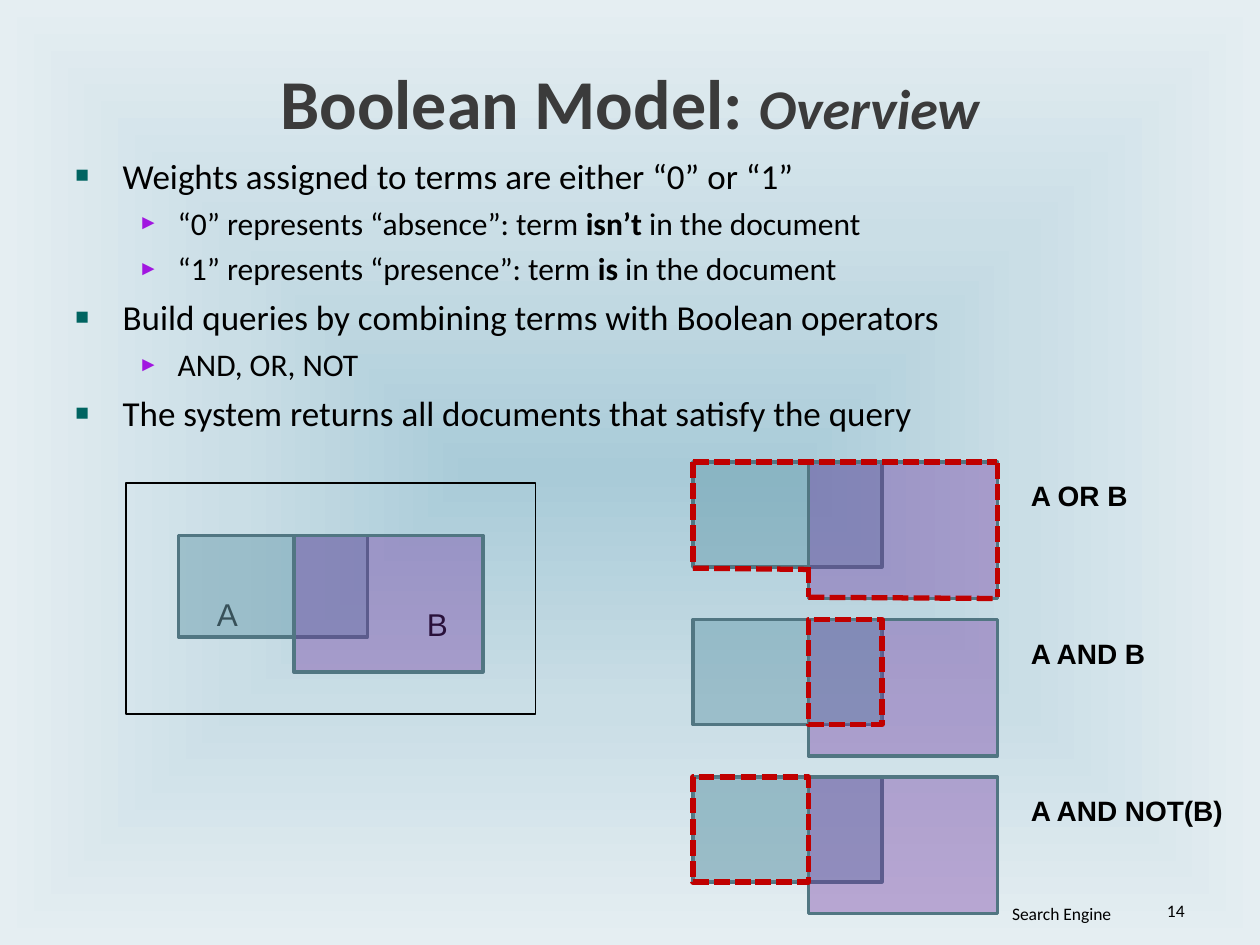
from lxml import etree
from pptx import Presentation
from pptx.dml.color import RGBColor
from pptx.enum.dml import MSO_LINE
from pptx.enum.shapes import MSO_CONNECTOR, MSO_SHAPE
from pptx.enum.text import MSO_ANCHOR, PP_ALIGN
from pptx.oxml import parse_xml
from pptx.oxml.ns import nsdecls, qn
from pptx.util import Pt

RECT = MSO_SHAPE.RECTANGLE
STRAIGHT = MSO_CONNECTOR.STRAIGHT
DASH = MSO_LINE.SQUARE_DOT
LEFT, CENTER, RIGHT = PP_ALIGN.LEFT, PP_ALIGN.CENTER, PP_ALIGN.RIGHT
TOP, MIDDLE, BOTTOM = MSO_ANCHOR.TOP, MSO_ANCHOR.MIDDLE, MSO_ANCHOR.BOTTOM

COLORS = {
    "text": "000000", "title": "3B3B3B", "square": "006461", "arrow": "A116E0",
    "set_a": "6EA0B0", "set_b": "7030A0", "edge": "517682", "result": "C00000",
    "center": "A9CBD8", "middle": "CADEE6", "rim": "E5EEF2",
}
LEVELS = [
    {"size": 20, "margin": 27, "hang": 27, "before": 4.9, "char": "■", "color": "square"},
    {"size": 18, "margin": 58.5, "hang": 22.5, "before": 4.4, "char": "►", "color": "arrow"},
]
BODY = [
    (0, [("Weights assigned to terms are either “0” or “1”", False)]),
    (1, [("“0” represents “absence”: term ", False), ("isn’t", True), (" in the document", False)]),
    (1, [("“1” represents “presence”: term ", False), ("is", True), (" in the document", False)]),
    (0, [("Build queries by combining terms with Boolean operators", False)]),
    (1, [("AND, OR, NOT", False)]),
    (0, [("The system returns all documents that satisfy the query", False)]),
]
TITLE_FONT = {"name": "Calibri", "size": Pt(40), "bold": True}
SUBTITLE_FONT = {**TITLE_FONT, "size": Pt(32), "italic": True}
FOOTER_FONT = {"name": "Calibri", "size": Pt(10)}
SET_FONT = {"name": "Arial", "size": Pt(18)}
LABEL_FONT = {"name": "Arial", "size": Pt(16), "bold": True}
SET_BOX = {"word_wrap": True, "margin_left": Pt(4), "margin_right": Pt(0), "margin_top": Pt(5)}

PANEL_X, PANEL_Y, PANEL_STEP = 396, 264, 90
SET_W, A_H, B_H, B_SHIFT = 108, 60, 78, 66


def rgb(name):
    """Return the named colour."""
    return RGBColor.from_string(COLORS[name])


def set_attrs(obj, values):
    """Set every attribute listed in a dict."""
    for name, value in values.items():
        setattr(obj, name, value)


def add_run(p, text, font, color="text"):
    """Append a formatted run to a paragraph."""
    r = p.add_run()
    r.text = text
    set_attrs(r.font, font)
    r.font.color.rgb = rgb(color)


def add_text(s, box, runs, color="text", align=LEFT, anchor=TOP, frame=None):
    """Add a one-paragraph text box and return its frame."""
    tf = s.shapes.add_textbox(*map(Pt, box)).text_frame
    set_attrs(tf, {"word_wrap": True, "vertical_anchor": anchor, **(frame or {})})
    p = tf.paragraphs[0]
    p.alignment = align
    for text, font in runs:
        add_run(p, text, font, color)
    return tf


def add_bullet(p, level):
    """Give a paragraph the indent and bullet of its level."""
    pPr = p._p.get_or_add_pPr()
    pPr.set("marL", str(Pt(level["margin"])))
    pPr.set("indent", str(-Pt(level["hang"])))
    clr = etree.SubElement(pPr, qn("a:buClr"))
    etree.SubElement(clr, qn("a:srgbClr"), val=COLORS[level["color"]])
    etree.SubElement(pPr, qn("a:buSzPct"), val="65000")
    etree.SubElement(pPr, qn("a:buFont"), typeface="Arial")
    etree.SubElement(pPr, qn("a:buChar"), char=level["char"])


def add_body(s):
    """Add the bulleted list."""
    tf = add_text(s, (36, 84.5, 648, 402), [])
    for i, (depth, runs) in enumerate(BODY):
        level = LEVELS[depth]
        p = tf.add_paragraph() if i else tf.paragraphs[0]
        p.level = depth
        add_bullet(p, level)
        p.space_before = Pt(level["before"] if i else 0)
        for text, bold in runs:
            add_run(p, text, {"name": "Calibri", "size": Pt(level["size"]), "bold": bold})


def style_line(line, color, width, dash=None):
    """Set the colour, width and dash of a line."""
    line.color.rgb = rgb(color)
    set_attrs(line, {"width": Pt(width), "dash_style": dash})


def add_rect(s, box, fill=None, alpha=100, line=("edge", 2)):
    """Add a rectangle with an optional translucent fill."""
    sp = s.shapes.add_shape(RECT, *map(Pt, box))
    sp.shadow.inherit = False
    style_line(sp.line, *line)
    if fill is None:
        sp.fill.background()
        return
    sp.fill.solid()
    sp.fill.fore_color.rgb = rgb(fill)
    clr = sp._element.spPr.find(qn("a:solidFill"))[0]
    etree.SubElement(clr, qn("a:alpha"), val=str(alpha * 1000))


def add_sets(s, x, y, a_height=A_H):
    """Add the two overlapping sets."""
    add_rect(s, (x, y, SET_W, a_height), "set_a", 51)
    add_rect(s, (x + B_SHIFT, y, SET_W, B_H), "set_b", 37)


def add_result(s, x, y, width):
    """Add the dashed rectangle around a query result."""
    add_rect(s, (x, y, width, A_H), "set_a", 18, ("result", 3, DASH))


def add_union_outline(s, x, y):
    """Trace the union of both sets with dashed lines."""
    mid, right = x + B_SHIFT, x + B_SHIFT + SET_W
    low, bottom = y + A_H, y + B_H
    for ends in [
        (x, y, right, y),
        (mid, bottom - 0.7, right, bottom),
        (x, y, x, low),
        (right, y + 0.7, right, bottom - 0.7),
        (mid, low, mid, bottom - 0.7),
        (x, low + 0.7, mid, low + 1.4),
    ]:
        line = s.shapes.add_connector(STRAIGHT, *map(Pt, ends))
        style_line(line.line, "result", 3, DASH)
        etree.SubElement(line._element.spPr, qn("a:effectLst"))


def set_background(s):
    """Fill the background with a gradient from the centre outwards."""
    s.background.fill.solid()
    stops = "".join(
        f'<a:gs pos="{pos}"><a:srgbClr val="{COLORS[name]}"/></a:gs>'
        for pos, name in [(0, "center"), (50000, "middle"), (100000, "rim")]
    )
    grad = parse_xml(
        f'<a:gradFill {nsdecls("a")} rotWithShape="1"><a:gsLst>{stops}</a:gsLst>'
        '<a:path path="shape"><a:fillToRect l="50000" t="50000" r="50000" b="50000"/>'
        "</a:path></a:gradFill>"
    )
    bg = s._element.find(".//" + qn("p:bgPr"))
    bg.replace(bg.find(qn("a:solidFill")), grad)


def main():
    """Build the slide and save it."""
    prs = Presentation()
    prs.slide_width, prs.slide_height = Pt(720), Pt(540)
    s = prs.slides.add_slide(prs.slide_layouts[6])
    set_background(s)
    title = [("Boolean Model: ", TITLE_FONT), ("Overview", SUBTITLE_FONT)]
    add_text(s, (36, 30, 648, 55.5), title, "title", CENTER, MIDDLE)
    add_body(s)
    add_text(s, (504, 520, 138, 11.5), [("Search Engine", FOOTER_FONT)], align=RIGHT, anchor=BOTTOM)
    add_text(s, (648, 520, 36, 10), [("14", FOOTER_FONT)], align=RIGHT, anchor=BOTTOM)

    add_rect(s, (72, 276, 234, 132), line=("text", 0.75))
    for text, x, y in [("A", 120, 335), ("B", 240, 341)]:
        add_text(s, (x, y, 11.5, 29), [(text, SET_FONT)], frame=SET_BOX)
    add_sets(s, 102, 306, 58)

    panels = [("A OR B", 78), ("A AND B", 96), ("A AND NOT(B)", 126)]
    tops = [PANEL_Y + i * PANEL_STEP for i in range(len(panels))]
    for (text, width), y in zip(panels, tops):
        add_text(s, (582, y + 6, width, 26.5), [(text, LABEL_FONT)], frame={"word_wrap": False})
        add_sets(s, PANEL_X, y)
    add_union_outline(s, PANEL_X, tops[0])
    add_result(s, PANEL_X + B_SHIFT, tops[1], SET_W - B_SHIFT)
    add_result(s, PANEL_X, tops[2], B_SHIFT)
    prs.save("out.pptx")


if __name__ == "__main__":
    main()
